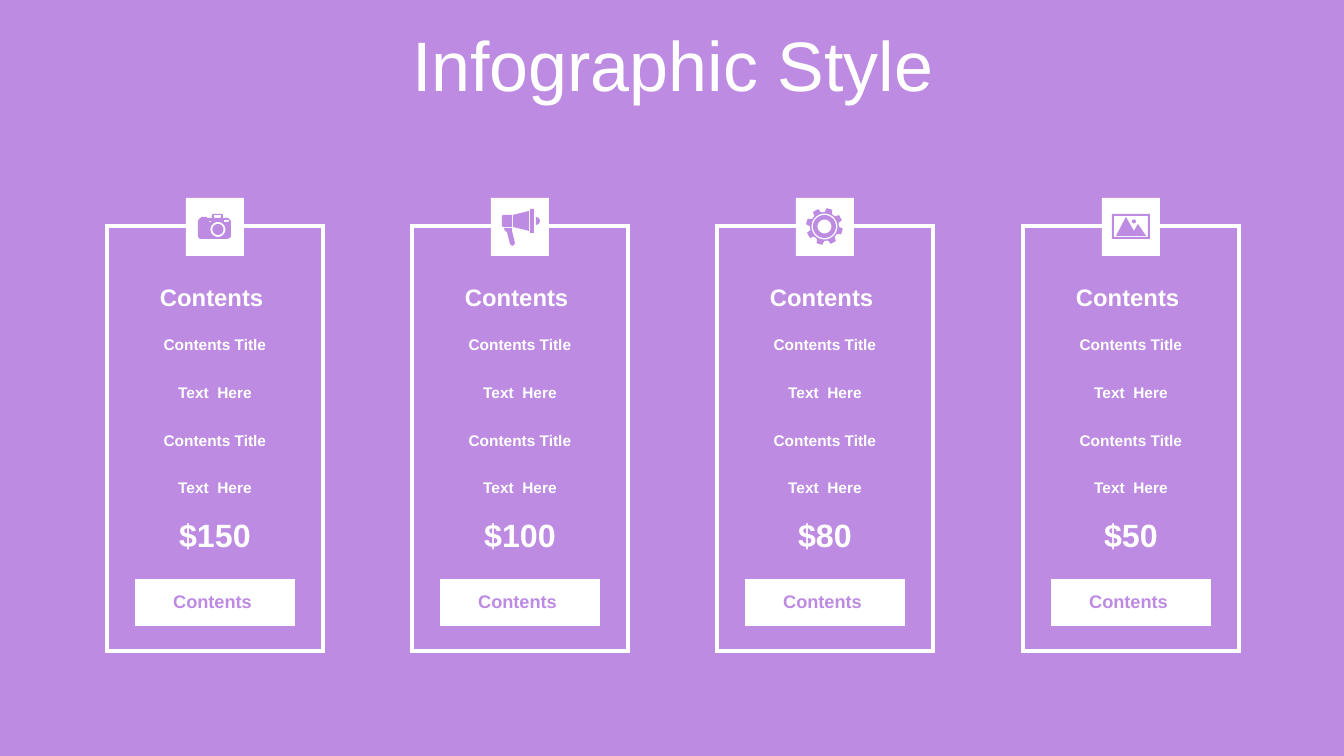
from math import cos, radians, sin

from lxml.etree import SubElement
from pptx import Presentation
from pptx.dml.color import RGBColor
from pptx.enum.shapes import MSO_SHAPE
from pptx.enum.text import MSO_ANCHOR, MSO_AUTO_SIZE, PP_ALIGN
from pptx.oxml.ns import qn
from pptx.util import Emu, Pt

SCALE = 914400 / 100.8
WHITE = RGBColor(0xFF, 0xFF, 0xFF)
PURPLE = RGBColor(0xBE, 0x8B, 0xE2)
FONT = "Arial"
BADGE = 58
COLS = [28, 160, 28]
ROWS = [48, 48, 47, 48, 48, 47, 48, 19, 47, 25]
CELL = {"vertical_anchor": MSO_ANCHOR.MIDDLE, "margin_left": Pt(6.5),
        "margin_right": Pt(6.5), "margin_top": Pt(3), "margin_bottom": Pt(3)}
TITLE = {"vertical_anchor": MSO_ANCHOR.MIDDLE, "word_wrap": True,
         "auto_size": MSO_AUTO_SIZE.NONE}


def px(n):
    return Emu(round(n * SCALE))


def set_all(obj, values):
    for name, value in values.items():
        setattr(obj, name, value)


def write(p, text, size, color, bold):
    p.alignment = PP_ALIGN.CENTER
    r = p.add_run()
    r.text = text
    set_all(r.font, {"name": FONT, "size": Pt(size), "bold": bold})
    r.font.color.rgb = color


def paint(sp, color):
    sp.shadow.inherit = False
    sp.fill.solid()
    sp.fill.fore_color.rgb = color
    sp.line.fill.background()


def rect(x1, y1, x2, y2):
    return [(x1, y1), (x2, y1), (x2, y2), (x1, y2)]


def polar(cx, cy, radius, angle):
    a = radians(angle)
    return cx + radius * sin(a), cy - radius * cos(a)


def circle(cx, cy, radius):
    return [polar(cx, cy, radius, a) for a in range(0, 360, 10)]


def gear(cx, cy, root, tip):
    tooth = [(-15, root), (-9, tip), (9, tip), (15, root)]
    return [polar(cx, cy, radius, 16 + 45 * i + a)
            for i in range(8) for a, radius in tooth]


CAMERA = [
    [(27, 16), (36, 16), (37, 17), (37, 20), (42, 20), (45, 23), (45, 39),
     (42, 41), (14, 41), (12, 39), (12, 23), (14, 20), (15, 20), (15, 19),
     (21, 19), (21, 20), (26, 20), (26, 17)],
    rect(28, 17, 35, 20), rect(23, 23, 25, 24), rect(38, 22, 43, 24),
    circle(32, 31.5, 7.5), circle(32, 31.5, 5.5),
]
MEGAPHONE = [
    [(21, 30), (21, 33), (24, 45), (23, 47), (21, 48), (19, 46), (16, 34),
     (14, 33), (13, 30)],
    [(45, 19), (48, 20), (49, 23), (48, 26), (45, 27)],
    [(12, 17), (21, 17), (21, 29), (12, 29), (11, 28), (11, 18)],
    [(38, 13), (38, 33), (22, 29), (22, 17)],
    rect(39, 11, 43, 35),
]
GEAR = [gear(28.5, 28.5, 14.5, 18.5)] + [circle(28.5, 28.5, n) for n in (13, 11.5, 7)]
LANDSCAPE = [
    rect(10, 16, 48, 41), rect(12, 18, 46, 39),
    [(24, 19), (32, 33), (36, 26), (44, 38), (14, 38)],
    circle(32, 23.5, 2),
]
PLANS = [("$150", CAMERA), ("$100", MEGAPHONE), ("$80", GEAR), ("$50", LANDSCAPE)]


def add_title(s, x, y, w, h):
    sp = s.shapes.title
    set_all(sp, {"left": px(x), "top": px(y), "width": px(w), "height": px(h)})
    tf = sp.text_frame
    set_all(tf, TITLE)
    p = tf.paragraphs[0]
    set_all(p, {"line_spacing": 0.8, "space_before": Pt(10)})
    write(p, "Infographic Style", 50, WHITE, False)


def set_borders(cell, shown):
    tc_pr = cell._tc.get_or_add_tcPr()
    for side in "LRTB":
        ln = SubElement(tc_pr, qn(f"a:ln{side}"), w=str(Pt(3)))
        if side in shown:
            fill = SubElement(ln, qn("a:solidFill"))
            SubElement(fill, qn("a:srgbClr"), val=str(WHITE))
        else:
            SubElement(ln, qn("a:noFill"))


def add_plan(s, x, y, price):
    frame = s.shapes.add_table(len(ROWS), len(COLS), px(x), px(y),
                               px(sum(COLS)), px(sum(ROWS)))
    tbl = frame.table
    set_all(tbl, {"first_row": False, "horz_banding": False})
    for col, w in zip(tbl.columns, COLS):
        col.width = px(w)
    for row, h in zip(tbl.rows, ROWS):
        row.height = px(h)
    texts = {1: ("Contents ", 17, WHITE), 6: (price, 23, WHITE),
             8: ("Contents ", 13, PURPLE)}
    for i in (2, 4):
        texts[i] = ("Contents Title", 11, WHITE)
        texts[i + 1] = ("Text  Here", 11, WHITE)
    for i in range(len(ROWS)):
        for j in range(len(COLS)):
            cell = tbl.cell(i, j)
            set_all(cell, CELL)
            edges = {"L": j == 0, "R": j == len(COLS) - 1,
                     "T": i == 0, "B": i == len(ROWS) - 1}
            set_borders(cell, [side for side in edges if edges[side]])
            cell.fill.background()
            p = cell.text_frame.paragraphs[0]
            if j == 1 and i in texts:
                write(p, *texts[i], True)
            else:
                SubElement(p._p, qn("a:endParaRPr"), sz="500")
    button = tbl.cell(8, 1)
    button.fill.solid()
    button.fill.fore_color.rgb = WHITE


def add_badge(s, x, y, icon):
    sp = s.shapes.add_shape(MSO_SHAPE.RECTANGLE, px(x), px(y), px(BADGE), px(BADGE))
    paint(sp, WHITE)
    outlines = [[(px(x + u), px(y + v)) for u, v in outline] for outline in icon]
    fb = s.shapes.build_freeform(*outlines[0][0], scale=1.0)
    for k, outline in enumerate(outlines):
        if k:
            fb.move_to(*outline[0])
        fb.add_line_segments(outline[1:], close=True)
    paint(fb.convert_to_shape(), PURPLE)


def main():
    prs = Presentation()
    set_all(prs, {"slide_width": px(1344), "slide_height": px(756)})
    s = prs.slides.add_slide(prs.slide_layouts[5])
    s.background.fill.solid()
    s.background.fill.fore_color.rgb = PURPLE
    add_title(s, 35, 31, 1276, 80)
    for i, (price, icon) in enumerate(PLANS):
        x = 107 + i * 916 // 3
        add_plan(s, x, 226, price)
        add_badge(s, x + (sum(COLS) - BADGE) // 2, 198, icon)
    prs.save("out.pptx")


if __name__ == "__main__":
    main()
